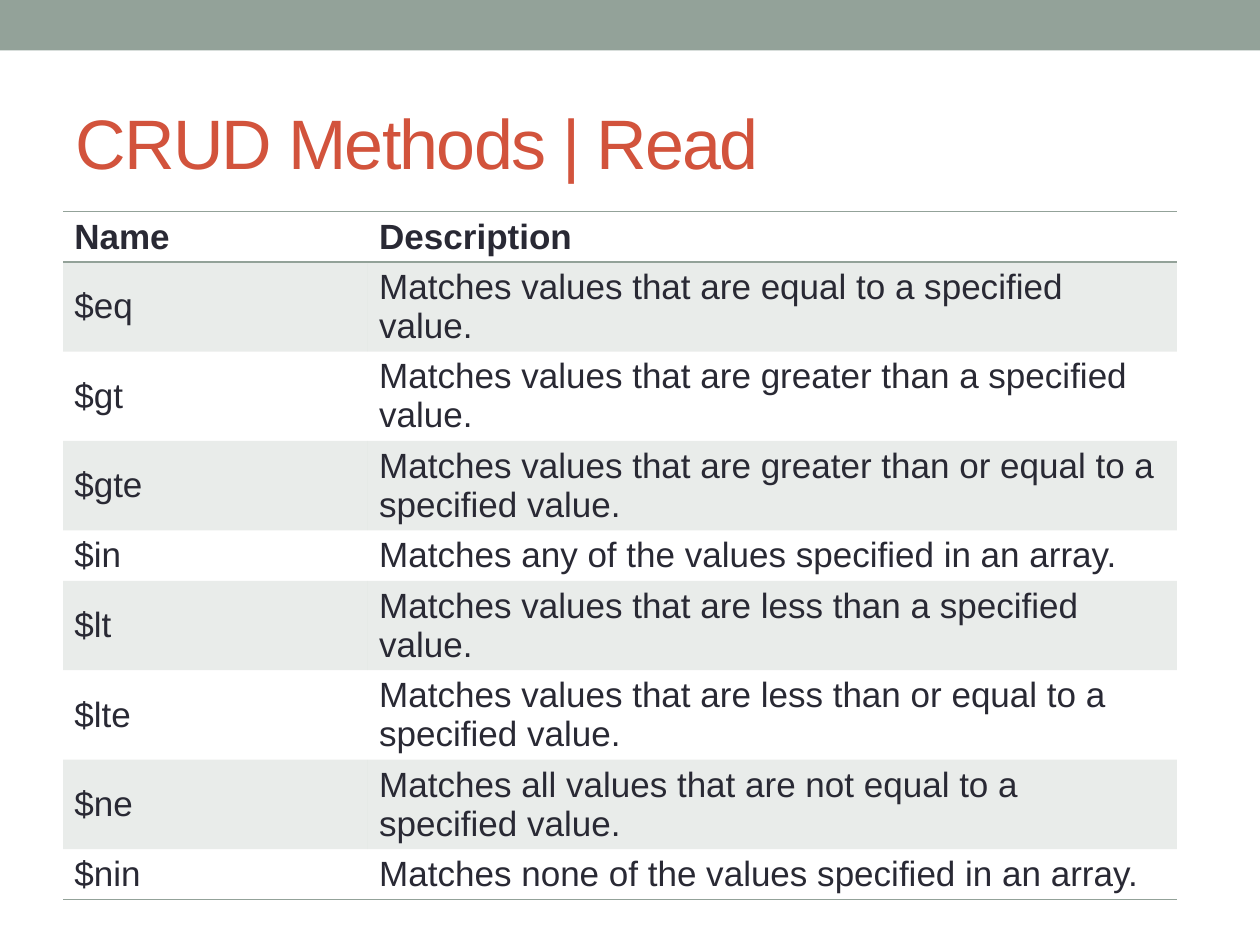
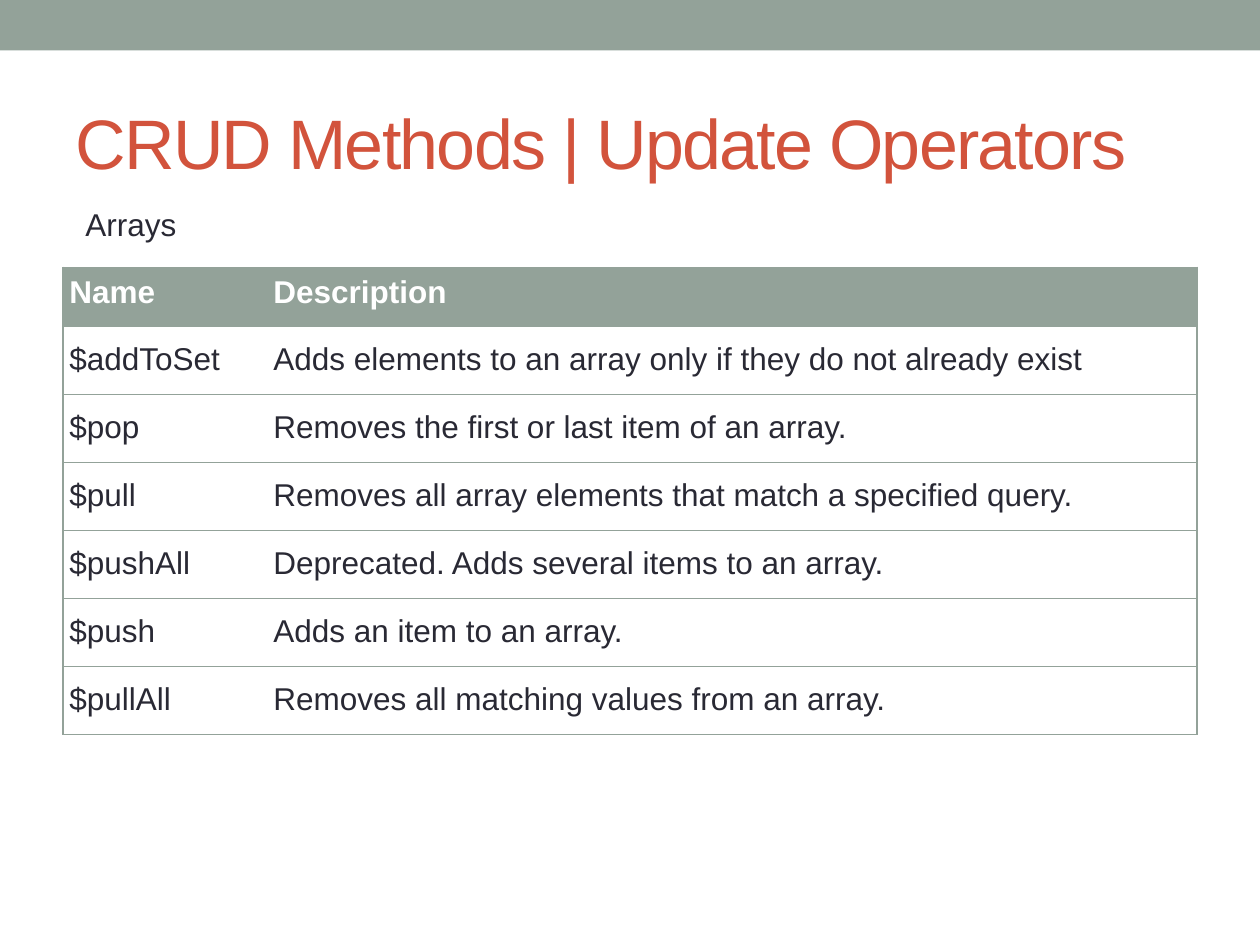
from dataclasses import dataclass

from lxml.etree import SubElement
from pptx import Presentation
from pptx.dml.color import RGBColor
from pptx.enum.shapes import MSO_SHAPE
from pptx.enum.text import MSO_ANCHOR, MSO_AUTO_SIZE, PP_ALIGN
from pptx.oxml import parse_xml
from pptx.oxml.ns import nsdecls, qn
from pptx.slide import Slide
from pptx.table import _Cell
from pptx.text.text import _Paragraph, _Run
from pptx.util import Inches, Pt

# Shared look
SAGE = RGBColor(0x93, 0xA2, 0x99)
RUST = RGBColor(0xD2, 0x53, 0x3C)
INK = RGBColor(0x29, 0x29, 0x34)
WHITE = RGBColor(0xFF, 0xFF, 0xFF)
FONT = "Arial"
TITLE_ONLY = 5
BAND_ALPHA = 20
HEADER = ("Name", "Description")


@dataclass(frozen=True)
class Margins:
    left: float
    top: float
    right: float
    bottom: float


@dataclass(frozen=True)
class OperatorTable:
    top: float
    column_widths: tuple[float, float]
    row_heights: list[float]
    rows: list[tuple[str, str]]
    font_size: float
    header_margins: Margins
    body_margins: Margins
    ruled_edges: set[int]  # row edges with a line, 0 is the top edge
    rule_width: float
    side_rules: bool
    solid_header: bool
    banded: bool


# Slide contents
COMPARISON_ROWS = [
    ("$eq", "Matches values that are equal to a specified value."),
    ("$gt", "Matches values that are greater than a specified value."),
    ("$gte", "Matches values that are greater than or equal to a specified value."),
    ("$in", "Matches any of the values specified in an array."),
    ("$lt", "Matches values that are less than a specified value."),
    ("$lte", "Matches values that are less than or equal to a specified value."),
    ("$ne", "Matches all values that are not equal to a specified value."),
    ("$nin", "Matches none of the values specified in an array."),
]
ARRAY_ROWS = [
    ("$addToSet", "Adds elements to an array only if they do not already exist"),
    ("$pop", "Removes the first or last item of an array."),
    ("$pull", "Removes all array elements that match a specified query."),
    ("$pushAll", "Deprecated. Adds several items to an array."),
    ("$push", "Adds an item to an array."),
    ("$pullAll", "Removes all matching values from an array."),
]
ONE_LINE, TWO_LINES = 0.4, 0.71
COMPARISON_MARGINS = Margins(0.09, 0.04, 0.09, 0.04)

COMPARISON_TABLE = OperatorTable(
    top=1.68,
    column_widths=(2.42, 6.42),
    row_heights=[ONE_LINE] + [
        ONE_LINE if name in ("$in", "$nin") else TWO_LINES
        for name, _ in COMPARISON_ROWS
    ],
    rows=COMPARISON_ROWS,
    font_size=20,
    header_margins=COMPARISON_MARGINS,
    body_margins=COMPARISON_MARGINS,
    ruled_edges={0, 1, len(COMPARISON_ROWS) + 1},
    rule_width=1,
    side_rules=False,
    solid_header=False,
    banded=True,
)
ARRAY_TABLE = OperatorTable(
    top=2.12,
    column_widths=(1.62, 7.38),
    row_heights=[0.47] + [0.54] * len(ARRAY_ROWS),
    rows=ARRAY_ROWS,
    font_size=18,
    header_margins=Margins(0.05, 0.05, 0.05, 0.12),
    body_margins=Margins(0.05, 0.11, 0.05, 0.12),
    ruled_edges=set(range(len(ARRAY_ROWS) + 2)),
    rule_width=0.75,
    side_rules=True,
    solid_header=True,
    banded=False,
)


def add_run(paragraph: _Paragraph, text: str, size: float,
            color: RGBColor, bold: bool = False) -> _Run:
    run = paragraph.add_run()
    run.text = text
    run.font.name = FONT
    run.font.size = Pt(size)
    run.font.bold = bold
    run.font.color.rgb = color
    return run


def add_titled_slide(presentation: Presentation, title: str) -> Slide:
    slide = presentation.slides.add_slide(presentation.slide_layouts[TITLE_ONLY])

    # Top band
    band = slide.shapes.add_shape(
        MSO_SHAPE.RECTANGLE, 0, 0, presentation.slide_width, Inches(0.4))
    band.shadow.inherit = False
    band.fill.solid()
    band.fill.fore_color.rgb = SAGE
    band.line.fill.background()

    # Title
    shape = slide.shapes.title
    shape.left, shape.top = Inches(0.5), Inches(0.58)
    shape.width, shape.height = Inches(9), Inches(1.08)
    frame = shape.text_frame
    frame.auto_size = MSO_AUTO_SIZE.NONE
    frame.vertical_anchor = MSO_ANCHOR.MIDDLE
    paragraph = frame.paragraphs[0]
    paragraph.alignment = PP_ALIGN.LEFT
    run = add_run(paragraph, title, 40, RUST)
    run.font._element.set("spc", "-100")
    return slide


def add_label(slide: Slide, text: str) -> None:
    box = slide.shapes.add_textbox(
        Inches(0.58), Inches(1.58), Inches(0.93), Inches(0.4))
    box.text_frame.word_wrap = False
    box.text_frame.auto_size = MSO_AUTO_SIZE.SHAPE_TO_FIT_TEXT
    add_run(box.text_frame.paragraphs[0], text, 18, INK)


def set_borders(cell: _Cell, visible: dict[str, bool], width: float) -> None:
    properties = cell._tc.get_or_add_tcPr()
    for index, (side, shown) in enumerate(visible.items()):
        line = parse_xml(f'<a:ln{side} {nsdecls("a")} w="{Pt(width)}"/>')
        if shown:
            fill = SubElement(line, qn("a:solidFill"))
            SubElement(fill, qn("a:srgbClr"), val=str(SAGE))
        else:
            SubElement(line, qn("a:noFill"))
        properties.insert(index, line)


def fill_cell(cell: _Cell, table: OperatorTable, row: int) -> None:
    solid = table.solid_header and row == 0
    banded = table.banded and row % 2 == 1
    if not (solid or banded):
        cell.fill.background()
        return
    cell.fill.solid()
    cell.fill.fore_color.rgb = SAGE
    if banded:
        color = cell._tc.tcPr.find(f'{qn("a:solidFill")}/{qn("a:srgbClr")}')
        SubElement(color, qn("a:alpha"), val=str(BAND_ALPHA * 1000))


def add_operator_table(slide: Slide, table: OperatorTable) -> None:
    rows = [HEADER, *table.rows]
    grid = slide.shapes.add_table(
        len(rows), len(HEADER), Inches(0.5), Inches(table.top),
        Inches(sum(table.column_widths)), Inches(sum(table.row_heights))).table
    grid.first_row = grid.horz_banding = False
    for column, width in zip(grid.columns, table.column_widths):
        column.width = Inches(width)
    for row, height in zip(grid.rows, table.row_heights):
        row.height = Inches(height)

    for row, texts in enumerate(rows):
        is_header = row == 0
        margins = table.header_margins if is_header else table.body_margins
        color = WHITE if is_header and table.solid_header else INK
        for column, text in enumerate(texts):
            cell = grid.cell(row, column)
            cell.vertical_anchor = MSO_ANCHOR.MIDDLE
            cell.margin_left = Inches(margins.left)
            cell.margin_top = Inches(margins.top)
            cell.margin_right = Inches(margins.right)
            cell.margin_bottom = Inches(margins.bottom)
            add_run(cell.text_frame.paragraphs[0], text,
                    table.font_size, color, is_header)
            fill_cell(cell, table, row)
            set_borders(cell, {
                "L": table.side_rules and column == 0,
                "R": table.side_rules and column == len(texts) - 1,
                "T": row in table.ruled_edges,
                "B": row + 1 in table.ruled_edges,
            }, table.rule_width)


def main() -> None:
    presentation = Presentation()
    presentation.slide_width, presentation.slide_height = Inches(10), Inches(7.5)

    # Comparison operators
    read_slide = add_titled_slide(presentation, "CRUD Methods | Read")
    add_operator_table(read_slide, COMPARISON_TABLE)

    # Array update operators
    update_slide = add_titled_slide(presentation, "CRUD Methods | Update Operators")
    add_label(update_slide, "Arrays")
    add_operator_table(update_slide, ARRAY_TABLE)

    presentation.save("out.pptx")


if __name__ == "__main__":
    main()
